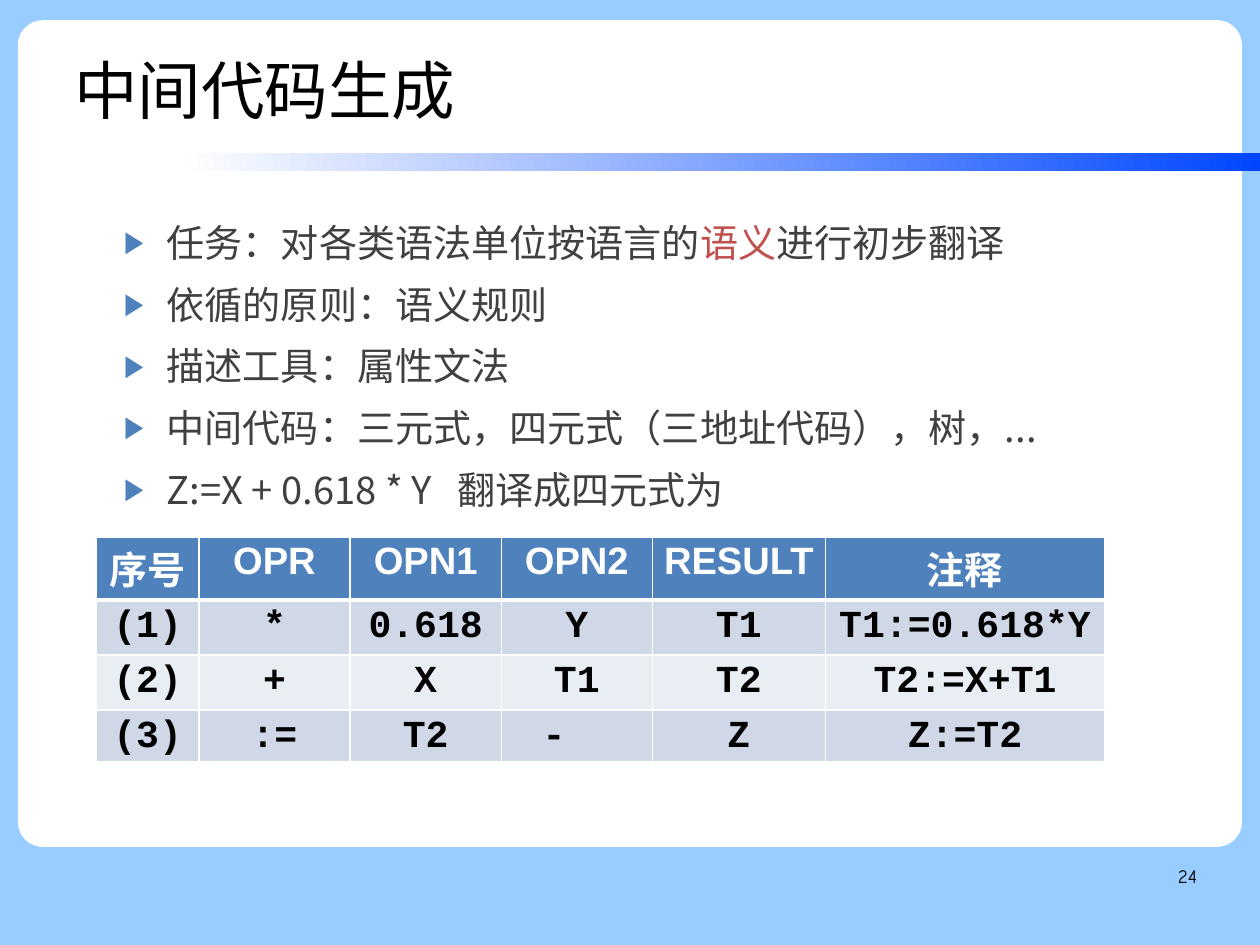
"""Build the slide on intermediate code generation."""
from lxml import etree
from pptx import Presentation
from pptx.dml.color import RGBColor
from pptx.enum.shapes import MSO_SHAPE
from pptx.enum.text import MSO_ANCHOR, MSO_AUTO_SIZE, PP_ALIGN
from pptx.oxml.ns import qn
from pptx.util import Cm, Pt

RECT, ROUND = MSO_SHAPE.RECTANGLE, MSO_SHAPE.ROUNDED_RECTANGLE
TOP = MSO_ANCHOR.TOP
LEFT, CENTER, RIGHT = PP_ALIGN.LEFT, PP_ALIGN.CENTER, PP_ALIGN.RIGHT
NO_FIT = MSO_AUTO_SIZE.NONE

COLORS = {
    "sky": "99CCFF", "white": "FFFFFF", "bar": "0047FF", "black": "000000",
    "text": "404040", "accent": "C0504D", "blue": "4F81BD",
    "odd": "D0D8E8", "even": "E9EDF4",
}
CJK, SANS, MONO, COMIC = "Noto Sans CJK SC", "Arial", "Courier New", "Comic Neue"

TITLE = "中间代码生成"
PAGE = "24"
BULLETS = [
    [("任务：对各类语法单位按语言的", 24, "text"), ("语义", 24, "accent"),
     ("进行初步翻译", 24, "text")],
    [("依循的原则：语义规则", 24, "text")],
    [("描述工具：属性文法", 24, "text")],
    [("中间代码：三元式，四元式（三地址代码），树，...", 24, "text")],
    [("Z:=X + 0.618 * Y", 24, "text"), ("　", 16, "text"), ("翻译成四元式为", 24, "text")],
]
QUADS = [
    ("序号", "OPR", "OPN1", "OPN2", "RESULT", "注释"),
    ("(1)", "*", "0.618", "Y", "T1", "T1:=0.618*Y"),
    ("(2)", "+", "X", "T1", "T2", "T2:=X+T1"),
    ("(3)", ":=", "T2", "-", "Z", "Z:=T2"),
]
COL_WIDTHS = (2.28, 3.36, 3.36, 3.36, 3.84, 6.21)
ROW_HEIGHTS = (1.37, 1.22, 1.22, 1.14)


def rgb(name):
    return RGBColor.from_string(COLORS[name])


def add_run(p, text, size, font, color, bold=False):
    r = p.add_run()
    r.text = text
    r.font.size, r.font.name, r.font.bold = Pt(size), font, bold
    r.font.color.rgb = rgb(color)
    if font == CJK:
        etree.SubElement(r.font._element, qn("a:ea"), typeface=font)


def place(sp, left, top, width, height):
    sp.left, sp.top, sp.width, sp.height = Cm(left), Cm(top), Cm(width), Cm(height)
    tf = sp.text_frame
    tf.auto_size, tf.vertical_anchor = NO_FIT, TOP
    return tf


def add_back_shape(s, kind, level, *box):
    sp = s.shapes.add_shape(kind, *map(Cm, box))
    sp.shadow.inherit = False
    sp.line.fill.background()
    s.shapes._spTree.insert(2 + level, sp._element)
    return sp


def add_bullet(p):
    pPr = p._p.get_or_add_pPr()
    pPr.set("marL", str(Cm(0.95)))
    pPr.set("indent", str(Cm(-0.95)))
    color = etree.SubElement(pPr, qn("a:buClr"))
    etree.SubElement(color, qn("a:srgbClr"), val=COLORS["blue"])
    etree.SubElement(pPr, qn("a:buSzPct"), val="80000")
    etree.SubElement(pPr, qn("a:buFont"), typeface=SANS)
    etree.SubElement(pPr, qn("a:buChar"), char="▶")


def set_borders(cell, row):
    tcPr = cell._tc.get_or_add_tcPr()
    widths = {"lnL": 1, "lnR": 1, "lnT": 3 if row == 1 else 1, "lnB": 3 if row == 0 else 1}
    for side, width in widths.items():
        ln = etree.SubElement(tcPr, qn(f"a:{side}"), w=str(Pt(width)))
        fill = etree.SubElement(ln, qn("a:solidFill"))
        etree.SubElement(fill, qn("a:srgbClr"), val=COLORS["white"])


def add_quads(s):
    table = s.shapes.add_table(
        len(QUADS), len(COL_WIDTHS), Cm(2.14), Cm(11.94),
        Cm(sum(COL_WIDTHS)), Cm(sum(ROW_HEIGHTS))).table
    for col, width in zip(table.columns, COL_WIDTHS):
        col.width = Cm(width)
    for i, (values, height) in enumerate(zip(QUADS, ROW_HEIGHTS)):
        table.rows[i].height = Cm(height)
        header = i == 0
        fill = "blue" if header else "odd" if i % 2 else "even"
        for j, value in enumerate(values):
            cell = table.cell(i, j)
            set_borders(cell, i)
            cell.fill.solid()
            cell.fill.fore_color.rgb = rgb(fill)
            if value == "-":
                cell.margin_right = Cm(1.27)
            p = cell.text_frame.paragraphs[0]
            p.alignment, p.line_spacing = CENTER, 0.93
            add_run(p, value, 24, SANS if header else MONO,
                    "white" if header else "black", True)


def main():
    prs = Presentation()
    prs.slide_width, prs.slide_height = Cm(28), Cm(21)
    s = prs.slides.add_slide(prs.slide_layouts[1])
    s.background.fill.solid()
    s.background.fill.fore_color.rgb = rgb("sky")

    panel = add_back_shape(s, ROUND, 0, 0.4, 0.45, 27.2, 18.37)
    panel.adjustments[0] = 0.03
    panel.fill.solid()
    panel.fill.fore_color.rgb = rgb("white")
    bar = add_back_shape(s, RECT, 1, 4, 3.4, 24, 0.4)
    bar.fill.gradient()
    bar.fill.gradient_angle = 0
    for stop, color, position in zip(bar.fill.gradient_stops, ("white", "bar"), (0, 1)):
        stop.color.rgb = rgb(color)
        stop.position = position

    tf = place(s.shapes.title, 1.4, 0.84, 21.8, 2.56)
    p = tf.paragraphs[0]
    p.alignment, p.line_spacing = LEFT, 1.1
    add_run(p, TITLE, 40, CJK, "black")

    tf = place(s.placeholders[1], 2.5, 4.75, 21.9, 12.1)
    for i, runs in enumerate(BULLETS):
        p = tf.paragraphs[0] if i == 0 else tf.add_paragraph()
        add_bullet(p)
        p.space_before = Pt(10 if i else 0)
        p.line_spacing = 1.0
        for text, size, color in runs:
            add_run(p, text, size, CJK, color)

    add_quads(s)

    tf = s.shapes.add_textbox(Cm(20.07), Cm(19.13), Cm(6.53), Cm(1.45)).text_frame
    tf.word_wrap = True
    tf.margin_left = tf.margin_right = tf.margin_top = tf.margin_bottom = 0
    p = tf.paragraphs[0]
    p.alignment, p.line_spacing = RIGHT, 1.16
    add_run(p, PAGE, 12, COMIC, "black")

    prs.save("out.pptx")


if __name__ == "__main__":
    main()
